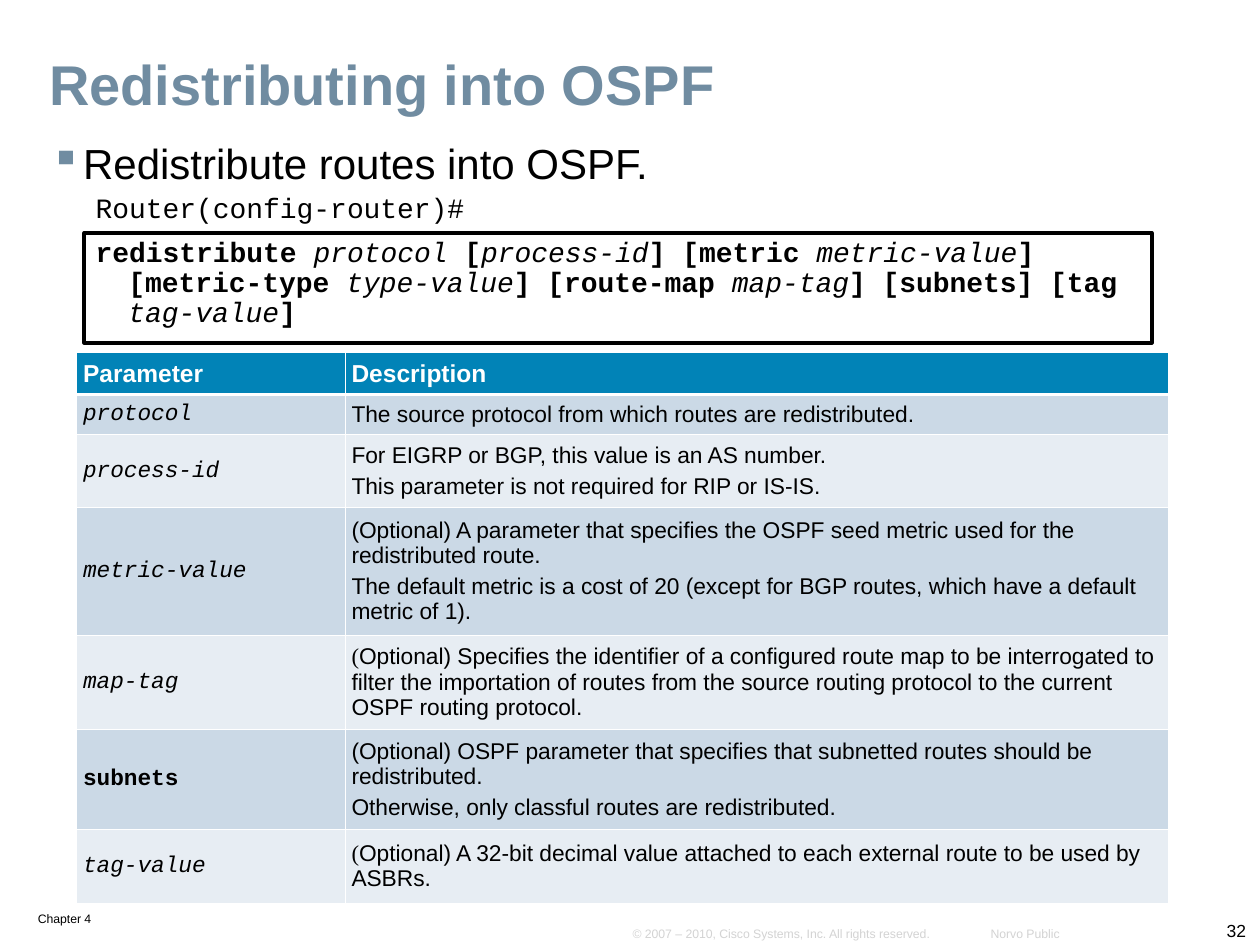
"""Build the slide on redistributing routes into OSPF."""
from dataclasses import dataclass
from typing import Any, NamedTuple

import lxml.etree
import pptx
import pptx.dml.color
import pptx.enum.shapes
import pptx.enum.text
import pptx.oxml.ns
import pptx.util

Inches = pptx.util.Inches
Pt = pptx.util.Pt
Align = pptx.enum.text.PP_ALIGN
Anchor = pptx.enum.text.MSO_ANCHOR

SANS, SERIF, MONO = "Arial", "Times New Roman", "Courier New"
BLACK, WHITE, GREY, SLATE = "000000", "FFFFFF", "D3D3D3", "708CA1"
HEADER_FILL, BAND_FILLS = "0183B7", ("CBD9E6", "E7EDF3")
THIN, THICK = 0.45, 1.47


class Area(NamedTuple):
    left: float
    top: float
    width: float
    height: float


@dataclass
class Footer:
    text: str
    area: Area
    size: float = 7
    color: str = GREY
    align: Any = Align.LEFT
    wrap: bool = False


@dataclass
class Parameter:
    name: str
    lines: list[str]
    height: float
    keyword: bool = False
    serif_start: bool = False


FOOTERS = [
    Footer("Chapter 4", Area(0.21, 7.18, 1.05, 0.21), color=BLACK, wrap=True),
    Footer("32", Area(9.17, 7.25, 0.81, 0.26), 10, BLACK, Align.RIGHT),
    Footer("© 2007 – 2010, Cisco Systems, Inc. All rights reserved.",
           Area(4.93, 7.3, 2.55, 0.21)),
    Footer("Norvo Public", Area(7.79, 7.3, 0.71, 0.21), align=Align.RIGHT),
]

COMMAND = [
    ("redistribute ", "protocol "), ("[", "process-id"),
    ("] [metric ", "metric-value"), ("] [metric-type ", "type-value"),
    ("] [route-map ", "map-tag"), ("] [subnets] [tag ", "tag-value"), ("]", ""),
]

PARAMETERS = [
    Parameter("protocol", ["The source protocol from which routes are redistributed."], 0.32),
    Parameter("process-id", [
        "For EIGRP or BGP, this value is an AS number.",
        "This parameter is not required for RIP or IS-IS."], 0.58),
    Parameter("metric-value", [
        "(Optional) A parameter that specifies the OSPF seed metric used for the "
        "redistributed route.",
        "The default metric is a cost of 20 (except for BGP routes, which have a "
        "default metric of 1)."], 1.01),
    Parameter("map-tag", [
        "(Optional) Specifies the identifier of a configured route map to be "
        "interrogated to filter the importation of routes from the source routing "
        "protocol to the current OSPF routing protocol."], 0.75, serif_start=True),
    Parameter("subnets", [
        "(Optional) OSPF parameter that specifies that subnetted routes should be "
        "redistributed.",
        "Otherwise, only classful routes are redistributed."], 0.79, keyword=True),
    Parameter("tag-value", [
        "(Optional) A 32-bit decimal value attached to each external route to be "
        "used by ASBRs."], 0.59, serif_start=True),
]


def rgb(color: str) -> Any:
    return pptx.dml.color.RGBColor.from_string(color)


def add_span(para: Any, text: str, *, size: float, font: str = SANS,
             color: str = BLACK, bold: bool = False, italic: bool = False) -> None:
    span = para.add_run()
    span.text = text
    span.font.size = Pt(size)
    span.font.name = font
    span.font.color.rgb = rgb(color)
    span.font.bold = bold
    span.font.italic = italic


def add_xml(parent: Any, tag: str, **attributes: str) -> Any:
    return lxml.etree.SubElement(parent, pptx.oxml.ns.qn(tag), attributes)


def place(shape: Any, area: Area) -> None:
    shape.left, shape.top, shape.width, shape.height = map(Inches, area)


def set_frame(frame: Any, side: float = 0.09, end: float = 0.04,
              anchor: Any = Anchor.TOP, wrap: bool = True) -> Any:
    frame.auto_size = pptx.enum.text.MSO_AUTO_SIZE.NONE
    frame.word_wrap = wrap
    frame.vertical_anchor = anchor
    frame.margin_left = frame.margin_right = Inches(side)
    frame.margin_top = frame.margin_bottom = Inches(end)
    return frame.paragraphs[0]


def add_text_box(page: Any, area: Area, **frame_format: Any) -> Any:
    box = page.shapes.add_textbox(*map(Inches, area))
    return set_frame(box.text_frame, **frame_format)


def hang(para: Any, bullet: str = "") -> None:
    properties = para._p.get_or_add_pPr()
    properties.set("marL", str(Inches(0.26)))
    properties.set("indent", str(-Inches(0.26)))
    if bullet:
        add_xml(add_xml(properties, "a:buClr"), "a:srgbClr", val=SLATE)
        add_xml(properties, "a:buChar", char=bullet)
    else:
        add_xml(properties, "a:buNone")
    para.space_after = Pt(6)


def style_cell(cell: Any, fill: str, top: float = THIN, bottom: float = THIN) -> Any:
    cell.margin_left = cell.margin_right = Inches(0.05)
    cell.margin_top = cell.margin_bottom = Inches(0.05)
    cell.vertical_anchor = Anchor.MIDDLE
    properties = cell._tc.get_or_add_tcPr()
    for side, width in (("L", THIN), ("R", THIN), ("T", top), ("B", bottom)):
        line = add_xml(properties, f"a:ln{side}", w=str(Pt(width)))
        add_xml(add_xml(line, "a:solidFill"), "a:srgbClr", val=WHITE)
    cell.fill.solid()
    cell.fill.fore_color.rgb = rgb(fill)
    return cell.text_frame.paragraphs[0]


def add_command(page: Any) -> None:
    box = page.shapes.add_shape(pptx.enum.shapes.MSO_SHAPE.RECTANGLE,
                                *map(Inches, Area(0.67, 1.85, 8.47, 0.87)))
    box.shadow.inherit = False
    box.fill.background()
    box.line.color.rgb = rgb(BLACK)
    box.line.width = Pt(2.25)
    para = set_frame(box.text_frame)
    para.alignment = Align.LEFT
    para.line_spacing = 0.9
    hang(para)
    for keyword, variable in COMMAND:
        add_span(para, keyword, size=16, font=MONO, bold=True)
        if variable:
            add_span(para, variable, size=16, font=MONO, italic=True)


def add_parameters(page: Any) -> None:
    heights = [0.33] + [parameter.height for parameter in PARAMETERS]
    area = Area(0.61, 2.8, 8.66, sum(heights))
    table = page.shapes.add_table(len(heights), 2, *map(Inches, area)).table
    for column, width in zip(table.columns, (2.13, 6.53)):
        column.width = Inches(width)
    for row, height in zip(table.rows, heights):
        row.height = Inches(height)
    for column, heading in enumerate(("Parameter", "Description")):
        para = style_cell(table.cell(0, column), HEADER_FILL, bottom=THICK)
        para.space_after = Pt(2)
        add_span(para, heading, size=14, color=WHITE, bold=True)
    for row, parameter in enumerate(PARAMETERS, 1):
        fill = BAND_FILLS[(row - 1) % 2]
        top = THICK if row == 1 else THIN
        para = style_cell(table.cell(row, 0), fill, top)
        add_span(para, parameter.name, size=13, font=MONO,
                 bold=parameter.keyword, italic=not parameter.keyword)
        cell = table.cell(row, 1)
        para = style_cell(cell, fill, top)
        for index, text in enumerate(parameter.lines):
            if index:
                para = cell.text_frame.add_paragraph()
                para.space_before = Pt(3)
            if parameter.serif_start:
                add_span(para, text[0], size=13, font=SERIF)
                text = text[1:]
            add_span(para, text, size=13)


def main() -> None:
    deck = pptx.Presentation()
    deck.slide_width, deck.slide_height = Inches(10), Inches(7.5)
    page = deck.slides.add_slide(deck.slide_layouts.get_by_name("Title Only"))
    for footer in FOOTERS:
        para = add_text_box(page, footer.area, anchor=Anchor.BOTTOM, wrap=footer.wrap)
        para.alignment = footer.align
        add_span(para, footer.text, size=footer.size, color=footer.color)
    title = page.shapes.title
    place(title, Area(0.29, 0.4, 9.33, 0.68))
    para = set_frame(title.text_frame, 0.1, 0.05)
    para.alignment = Align.LEFT
    para.line_spacing = 0.9
    add_span(para, "Redistributing into OSPF", size=32, color=SLATE, bold=True)
    para = add_text_box(page, Area(0.31, 1.05, 9.1, 0.54))
    hang(para, "▪")
    add_span(para, "Redistribute routes into OSPF.", size=24)
    para = add_text_box(page, Area(0.67, 1.47, 8.47, 0.41))
    hang(para)
    add_span(para, "Router(config-router)#", size=16, font=MONO)
    add_command(page)
    add_parameters(page)
    deck.save("out.pptx")


if __name__ == "__main__":
    main()
